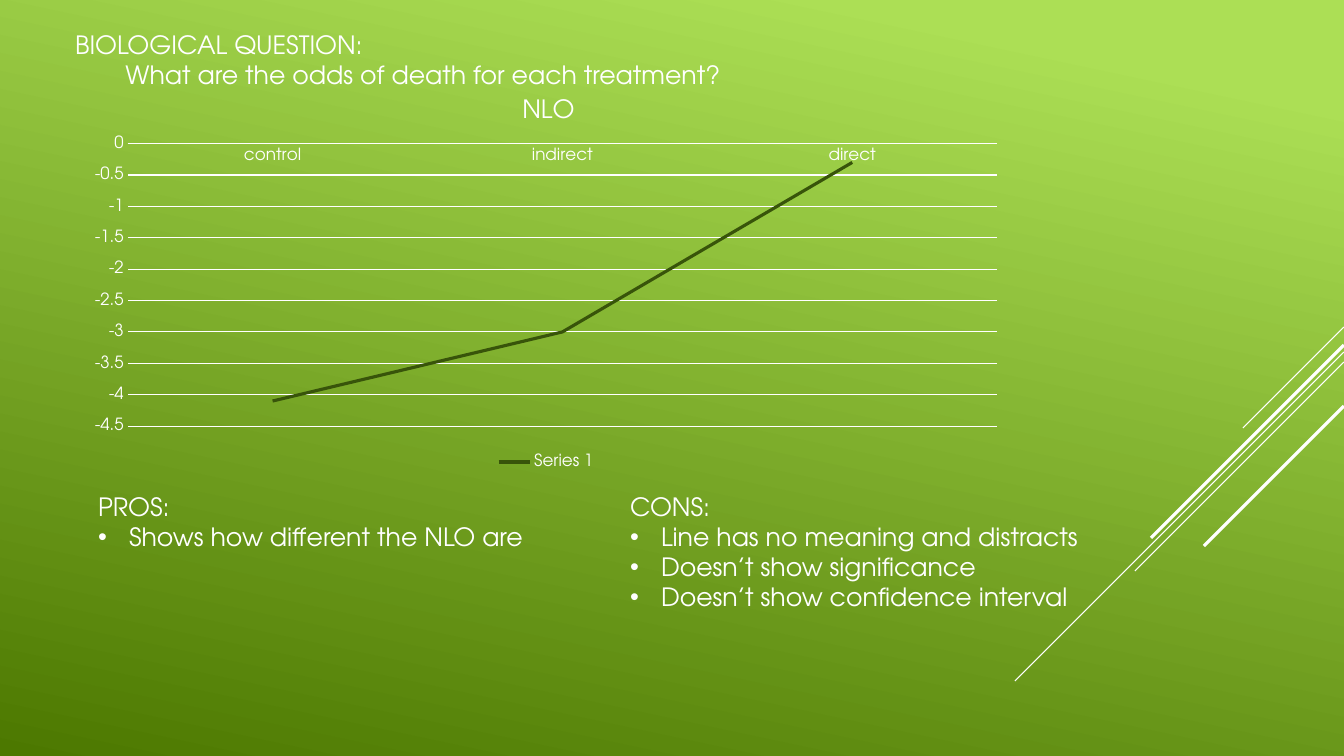
import pptx
import pptx.chart.data
import pptx.dml.color
import pptx.enum.chart
import pptx.enum.shapes
import pptx.enum.text
import pptx.oxml.ns
import pptx.oxml.xmlchemy
import pptx.util

RGB = pptx.dml.color.RGBColor
WHITE = RGB(0xFF, 0xFF, 0xFF)
LIME = RGB(0xAC, 0xDF, 0x55)
MOSS = RGB(0x4C, 0x78, 0x00)
OLIVE = RGB(0x38, 0x54, 0x0A)
FONT = "TeX Gyre Adventor"
SCALE = 12192000 / 1344  # EMU per px
QN = pptx.oxml.ns.qn
NODE = pptx.oxml.xmlchemy.OxmlElement


def px(num):
    return pptx.util.Emu(round(num * SCALE))


class Deck:
    def __init__(self):
        self.prs = pptx.Presentation()
        self.prs.slide_width, self.prs.slide_height = px(1344), px(756)
        self.slide = self.prs.slides.add_slide(self.prs.slide_layouts[3])

    def back(self, start, end, angle):
        fill = self.slide.background.fill
        fill.gradient()
        fill.gradient_angle = 360 - angle
        for stop, (pos, color) in zip(fill.gradient_stops, (start, end)):
            stop.position, stop.color.rgb = pos, color

    def style(self, font, size):
        font.name, font.size, font.bold = FONT, pptx.util.Pt(size), False
        font.color.rgb = WHITE

    def stroke(self, line, color, width):
        line.color.rgb, line.width = color, pptx.util.Pt(width)

    def line(self, x1, y1, x2, y2, width):
        rule = self.slide.shapes.add_connector(
            pptx.enum.shapes.MSO_CONNECTOR.STRAIGHT, px(x1), px(y1), px(x2), px(y2))
        self.stroke(rule.line, WHITE, width)
        rule._element.spPr.append(NODE("a:effectLst"))

    def text(self, idx, box, lines, bullets=False):
        shape = self.slide.placeholders[idx]
        shape.left, shape.top, shape.width, shape.height = map(px, box)
        frame = shape.text_frame
        frame.text = "\n".join(lines)
        frame.word_wrap = True
        frame.auto_size = pptx.enum.text.MSO_AUTO_SIZE.NONE
        frame.vertical_anchor = pptx.enum.text.MSO_ANCHOR.TOP
        for row, para in enumerate(frame.paragraphs):
            para.alignment = pptx.enum.text.PP_ALIGN.LEFT
            para.space_before = pptx.util.Pt(0)
            dot = bullets and row > 0
            props = para._p.get_or_add_pPr()
            props.set("marL", str(px(31 if dot else 0)))
            props.set("indent", str(px(-31 if dot else 0)))
            props.set("defTabSz", "457200")
            mark = NODE("a:buChar" if dot else "a:buNone")
            if dot:
                mark.set("char", "•")
            props.append(mark)
            for run in para.runs:
                self.style(run.font, 18)

    def place(self, node, index, **sides):
        old = node.find(QN("c:layout"))
        if old is not None:
            node.remove(old)
        layout = NODE("c:layout")
        manual = NODE("c:manualLayout")
        layout.append(manual)
        modes = {"xMode": "edge", "yMode": "edge"}
        if "w" in sides:
            modes = {"layoutTarget": "inner", **modes}
        for tag, val in {**modes, **sides}.items():
            item = NODE("c:" + tag)
            item.set("val", str(val))
            manual.append(item)
        node.insert(index, layout)

    def chart(self, box, title, cats, name, vals):
        data = pptx.chart.data.CategoryChartData()
        data.categories = cats
        data.add_series(name, vals)
        chart = self.slide.shapes.add_chart(
            pptx.enum.chart.XL_CHART_TYPE.LINE, *map(px, box), data).chart
        self.style(chart.font, 12)

        # Title and plot area
        chart.has_title = True
        frame = chart.chart_title.text_frame
        frame.text = title
        self.style(frame.paragraphs[0].runs[0].font, 18)
        self.place(chart.chart_title._element, 1, x=0.47, y=0.04)
        area = chart._chartSpace.chart.plotArea
        self.place(area, 0, x=0.055, y=0.17, w=0.925, h=0.71)

        # Axes
        none = pptx.enum.chart.XL_TICK_MARK.NONE
        for axis in (chart.category_axis, chart.value_axis):
            axis.major_tick_mark = axis.minor_tick_mark = none
            self.style(axis.tick_labels.font, 12)
        self.stroke(chart.category_axis.format.line, WHITE, 0.75)
        axis = chart.value_axis
        axis.minimum_scale, axis.maximum_scale, axis.major_unit = -4.5, 0, 0.5
        axis.format.line.fill.background()
        axis.has_major_gridlines = True
        self.stroke(axis.major_gridlines.format.line, WHITE, 0.75)

        # Series and legend
        chart.plots[0].vary_by_categories = False
        series = chart.plots[0].series[0]
        series.smooth = False
        series.marker.style = pptx.enum.chart.XL_MARKER_STYLE.NONE
        self.stroke(series.format.line, OLIVE, 2.25)
        chart.has_legend = True
        chart.legend.position = pptx.enum.chart.XL_LEGEND_POSITION.BOTTOM
        chart.legend.include_in_layout = False
        self.style(chart.legend.font, 12)


def main():
    deck = Deck()
    deck.back((0.1, LIME), (1, MOSS), 102)

    # Diagonal rays from the right edge: top, run, line width
    for top, run, width in ((327, 101, 0.75), (352, 329, 0.75), (362, 209, 0.75),
                            (345, 193, 2.25), (406, 140, 2.25)):
        deck.line(1344, top, 1344 - run, top + run, width)

    # Question
    deck.text(0, (65, 24, 681, 72),
              ["BIOLOGICAL QUESTION:", "\tWhat are the odds of death for each treatment?"])

    # Log odds by treatment
    deck.chart((76, 76, 940, 398), "NLO", ["control", "indirect", "direct"],
               "Series 1", [-4.1, -3, -0.3])

    # Pros and cons
    deck.text(1, (88, 486, 489, 102), ["PROS:", "Shows how different the NLO are"], True)
    deck.text(2, (620, 486, 489, 163),
              ["CONS:", "Line has no meaning and distracts", "Doesn’t show significance",
               "Doesn’t show confidence interval"], True)
    deck.prs.save("out.pptx")


if __name__ == "__main__":
    main()
